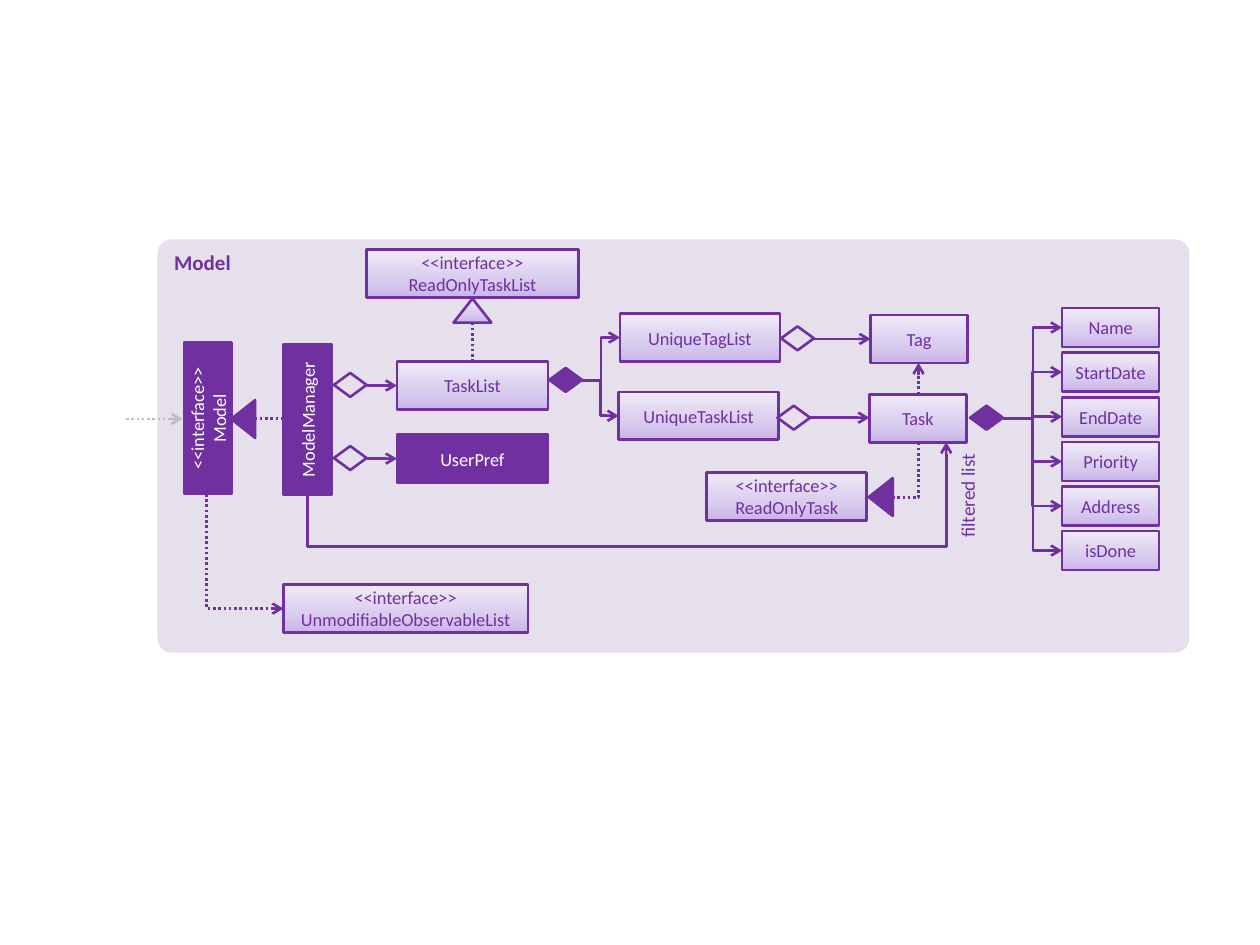
import copy

import pptx
import pptx.dml.color
import pptx.enum.dml
import pptx.enum.shapes
import pptx.enum.text
import pptx.oxml
import pptx.oxml.ns
import pptx.util

RGBColor = pptx.dml.color.RGBColor
SHAPE = pptx.enum.shapes.MSO_SHAPE
CONNECTOR = pptx.enum.shapes.MSO_CONNECTOR
ALIGN = pptx.enum.text.PP_ALIGN
ANCHOR = pptx.enum.text.MSO_ANCHOR
qn = pptx.oxml.ns.qn

PURPLE = RGBColor(0x70, 0x30, 0xA0)
LAVENDER = RGBColor(0xE6, 0xE0, 0xEC)
GREY = RGBColor(0xBF, 0xBF, 0xBF)
WHITE = RGBColor(0xFF, 0xFF, 0xFF)
SHADES = (
    (0, RGBColor(0xC9, 0xB5, 0xE8)),
    (0.35, RGBColor(0xD8, 0xCB, 0xEE)),
    (1, RGBColor(0xF0, 0xEA, 0xF9)),
)

COLUMNS, ROWS = 100, 75
BOX_HEIGHT = 3.8
DIAMOND = (2.6, 1.9)
TRIANGLE = (3, 1.9)


class ClassDiagram:
    """Draws UML parts; every length is in columns and rows of the grid."""

    font_name = "Calibri"
    line_width = pptx.util.Pt(1.5)

    def __init__(self, deck):
        self.slide = deck.slides.add_slide(deck.slide_layouts[6])
        self.column = deck.slide_width / COLUMNS
        self.row = deck.slide_height / ROWS

    def place(self, *lengths):
        """Turn alternating columns and rows into slide units."""
        return [round(length * (self.row if i % 2 else self.column))
                for i, length in enumerate(lengths)]

    def set_text(self, frame, text, size, color, align, bold=None):
        frame.text = text
        for paragraph in frame.paragraphs:
            paragraph.alignment = align
            paragraph.font.name = self.font_name
            paragraph.font.size = pptx.util.Pt(size)
            paragraph.font.color.rgb = color
            paragraph.font.bold = bold

    def shade(self, shape):
        shape.fill.gradient()
        shape.fill.gradient_angle = 90
        stop_list = shape._element.spPr.find(".//" + qn("a:gsLst"))
        stop_list.append(copy.deepcopy(stop_list[0]))
        for stop, (position, color) in zip(shape.fill.gradient_stops, SHADES):
            stop.position = position
            stop.color.rgb = color

    def shape(self, kind, left, top, width, height, turn=0):
        shape = self.slide.shapes.add_shape(kind, *self.place(left, top, width, height))
        shape.shadow.inherit = False
        shape.rotation = turn
        shape.line.color.rgb = PURPLE
        shape.line.width = self.line_width
        return shape

    def fill(self, shape, solid):
        if solid:
            shape.fill.solid()
            shape.fill.fore_color.rgb = PURPLE
        else:
            self.shade(shape)

    def panel(self, title, left, top, width, height):
        panel = self.shape(SHAPE.ROUNDED_RECTANGLE, left, top, width, height)
        panel.adjustments[0] = 0.035
        panel.fill.solid()
        panel.fill.fore_color.rgb = LAVENDER
        panel.line.fill.background()
        panel.text_frame.vertical_anchor = ANCHOR.TOP
        self.set_text(panel.text_frame, title, 12, PURPLE, ALIGN.LEFT, bold=True)

    def box(self, name, left, top, width, height=BOX_HEIGHT, solid=False, turn=0):
        box = self.shape(SHAPE.RECTANGLE, left, top, width, height, turn)
        self.fill(box, solid)
        frame = box.text_frame
        frame.margin_left = frame.margin_right = 0
        frame.vertical_anchor = ANCHOR.MIDDLE
        self.set_text(frame, name, 10.5, WHITE if solid else PURPLE, ALIGN.CENTER)

    def diamond(self, left, top, solid=False):
        diamond = self.shape(SHAPE.FLOWCHART_DECISION, left, top, *DIAMOND)
        if solid:
            self.fill(diamond, solid)
        else:
            diamond.fill.background()

    def triangle(self, left, top, solid=True, turn=270):
        self.fill(self.shape(SHAPE.ISOSCELES_TRIANGLE, left, top, *TRIANGLE, turn), solid)

    def label(self, text, left, top, width, height, turn):
        label = self.slide.shapes.add_textbox(*self.place(left, top, width, height))
        label.rotation = turn
        label.text_frame.word_wrap = True
        self.set_text(label.text_frame, text, 11, PURPLE, ALIGN.RIGHT)

    def line(self, start, end, kind=CONNECTOR.STRAIGHT, arrow=True, dotted=False, color=PURPLE):
        line = self.slide.shapes.add_connector(kind, *self.place(*start, *end))
        line.line.color.rgb = color
        line.line.width = self.line_width
        if dotted:
            line.line.dash_style = pptx.enum.dml.MSO_LINE.ROUND_DOT
        properties = line._element.spPr
        if arrow:
            tail = pptx.oxml.parse_xml(
                f'<a:tailEnd {pptx.oxml.ns.nsdecls("a")} type="arrow"/>')
            properties.find(qn("a:ln")).append(tail)
        properties.append(pptx.oxml.parse_xml(
            f'<a:effectLst {pptx.oxml.ns.nsdecls("a")}/>'))
        return line

    def elbow(self, start, end):
        self.line(start, end, CONNECTOR.ELBOW)

    def bend(self, line, preset, bends=()):
        geometry = line._element.spPr.find(qn("a:prstGeom"))
        geometry.set("prst", preset)
        guides = geometry.find(qn("a:avLst"))
        for number, share in enumerate(bends, 1):
            guides.append(pptx.oxml.parse_xml(
                f'<a:gd {pptx.oxml.ns.nsdecls("a")} name="adj{number}" '
                f'fmla="val {round(share * 100000)}"/>'))

    def upright(self, start, end, preset="bentConnector2", bends=(), dotted=False):
        """Draw a bent arrow that leaves vertically and ends to the right."""
        (x1, y1), (x2, y2) = start, end
        middle_x, middle_y = (x1 + x2) / 2, (y1 + y2) / 2
        half_height, half_width = abs(y2 - y1) / 2, (x2 - x1) / 2
        down = y2 > y1
        rise = half_width if down else -half_width
        line = self.line((middle_x + half_height, middle_y - rise),
                         (middle_x - half_height, middle_y + rise),
                         CONNECTOR.ELBOW, dotted=dotted)
        self.bend(line, preset, bends)
        turn = 270 if down else 90
        line._element.spPr.find(qn("a:xfrm")).set("rot", str(turn * 60000))


def main():
    deck = pptx.Presentation()
    deck.slide_width = pptx.util.Inches(10)
    deck.slide_height = pptx.util.Inches(7.5)
    diagram = ClassDiagram(deck)

    diagram.panel("Model", 12.5, 19, 81.9, 32.8)

    for name, left, top, width in (
        ("TaskList", 31.5, 28.7, 12),
        ("UniqueTaskList", 49.1, 31.1, 12.7),
        ("UniqueTagList", 49.2, 24.9, 12.7),
        ("Task", 69, 31.3, 7.7),
        ("Tag", 69.1, 25, 7.7),
        ("<<interface>>\vReadOnlyTask", 56.1, 37.5, 12.7),
        ("<<interface>>\vReadOnlyTaskList", 29.1, 19.8, 16.8),
        ("<<interface>>\vUnmodifiableObservableList", 22.5, 46.4, 19.4),
    ):
        diagram.box(name, left, top, width)
    diagram.box("UserPref", 31.5, 34.5, 12, solid=True)
    diagram.box("ModelManager", 18.4, 31.4, 12, solid=True, turn=270)
    diagram.box("<<interface>>\nModel", 10.5, 31.3, 12, solid=True, turn=270)

    for left, top in ((26.5, 35.4), (26.5, 29.6), (61.7, 32.2), (62, 25.9)):
        diagram.diamond(left, top)
    for left, top in ((43.6, 29.2), (77, 32.2)):
        diagram.diamond(left, top, solid=True)

    diagram.triangle(17.8, 32.3)
    diagram.triangle(68.4, 38.5)
    diagram.triangle(36, 23.7, solid=False, turn=0)

    for start, end in (
        ((29.1, 36.4), (31.5, 36.4)),
        ((29.1, 30.6), (31.5, 30.6)),
        ((64.3, 33.15), (69, 33.15)),
        ((64.6, 26.9), (69.1, 26.9)),
    ):
        diagram.line(start, end)
    diagram.line((72.9, 31.3), (72.9, 28.8), dotted=True)
    diagram.line((10, 33.25), (14.5, 33.25), dotted=True, color=GREY)
    diagram.line((20.2, 33.2), (22.6, 33.2), arrow=False, dotted=True)
    diagram.line((37.5, 25.6), (37.5, 28.8), arrow=False, dotted=True)
    realization = diagram.line((70.8, 39.5), (72.9, 35), CONNECTOR.ELBOW,
                               arrow=False, dotted=True)
    diagram.bend(realization, "bentConnector2")

    diagram.elbow((46.2, 30.2), (49.1, 33))
    diagram.elbow((46.2, 30.2), (49.2, 26.8))
    diagram.upright((16.4, 39.2), (22.5, 48.3), dotted=True)
    diagram.upright((24.4, 39.2), (75.1, 35.1), "bentConnector4", (-1.02, 1))
    diagram.label("filtered list", 72, 38.4, 9.6, 2.9, turn=270)

    attributes = ("Name", "StartDate", "EndDate", "Priority", "Address", "isDone")
    first_top, pitch, height = 24.45, 3.54, 3.1
    middles = [first_top + pitch * i + height / 2 for i in range(len(attributes))]
    for name, middle in zip(attributes, middles):
        diagram.box(name, 84.3, middle - height / 2, 7.7, height)
    for middle in middles[1:-1]:
        diagram.elbow((79.6, 33.2), (84.3, middle))
    diagram.upright((82, 33.2), (84.3, middles[0]))
    diagram.upright((82, 35.3), (84.3, middles[-1]))

    deck.save("out.pptx")


if __name__ == "__main__":
    main()
